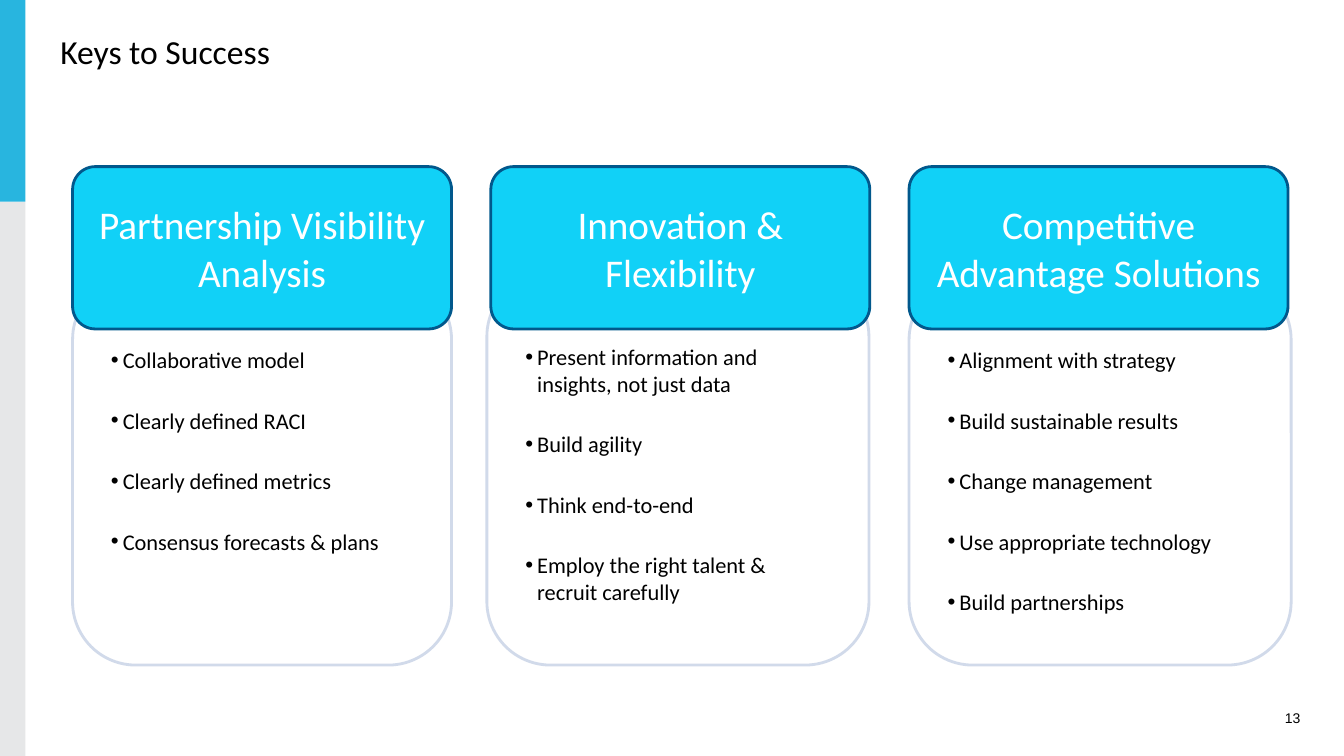
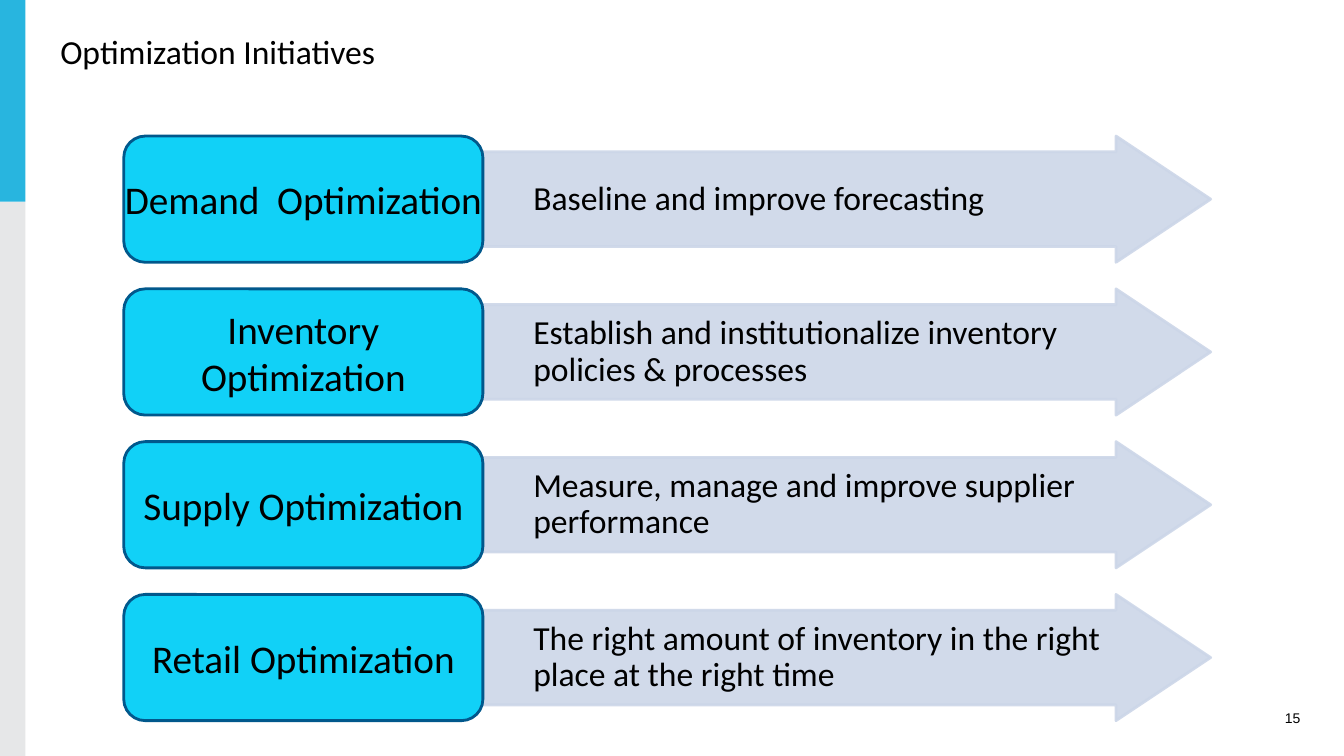
import pptx
import pptx.util
import pptx.dml.color
import pptx.enum.shapes
import pptx.enum.text
import lxml.etree

Cm = pptx.util.Cm
Pt = pptx.util.Pt
RGBColor = pptx.dml.color.RGBColor
Shape = pptx.enum.shapes.MSO_SHAPE
Align = pptx.enum.text.PP_ALIGN
Anchor = pptx.enum.text.MSO_ANCHOR

BLACK = RGBColor(0x00, 0x00, 0x00)
WHITE = RGBColor(0xFF, 0xFF, 0xFF)
BAND_BLUE = RGBColor(0x28, 0xB5, 0xDF)
BAND_GRAY = RGBColor(0xE6, 0xE7, 0xE8)
CYAN = RGBColor(0x11, 0xD1, 0xF7)
NAVY = RGBColor(0x01, 0x58, 0x8C)
PALE = RGBColor(0xCC, 0xD6, 0xE8)
DRAWING = "http://schemas.openxmlformats.org/drawingml/2006/main"


def add_block(page, kind, place, fill=None, line=None, adjustments=(), opacity=None):
    """Add a preset shape; place is left, top, width, height in cm, opacity in percent."""
    block = page.shapes.add_shape(kind, *[Cm(length) for length in place])
    block.shadow.inherit = False
    if fill is None:
        block.fill.background()
    else:
        block.fill.solid()
        block.fill.fore_color.rgb = fill
    if line is None:
        block.line.fill.background()
    else:
        block.line.color.rgb = line
        block.line.width = Pt(2)
    for index, value in enumerate(adjustments):
        block.adjustments[index] = value
    if opacity is not None:
        for color in list(block._element.iter(f"{{{DRAWING}}}srgbClr")):
            lxml.etree.SubElement(color, f"{{{DRAWING}}}alpha", val=str(opacity * 1000))
    return block


def write(box, lines, size, color=BLACK, align=Align.LEFT, anchor=Anchor.MIDDLE,
          insets=(0, 0, 0, 0), font="Calibri", wrap=True, bullet=False):
    """Fill a box with one paragraph per line; insets are left, top, right, bottom in cm."""
    frame = box.text_frame
    frame.word_wrap = wrap
    frame.vertical_anchor = anchor
    (frame.margin_left, frame.margin_top,
     frame.margin_right, frame.margin_bottom) = [Cm(inset) for inset in insets]
    for index, line in enumerate(lines):
        para = frame.add_paragraph() if index else frame.paragraphs[0]
        para.text = line
        para.alignment = align
        if bullet:
            properties = para._p.get_or_add_pPr()
            properties.set("marL", str(Cm(0.3)))
            properties.set("indent", str(-Cm(0.3)))
            lxml.etree.SubElement(properties, f"{{{DRAWING}}}buFont", typeface="Arial")
            lxml.etree.SubElement(properties, f"{{{DRAWING}}}buChar", char="•")
            para.space_after = Pt(24)
        para.font.name = font
        para.font.size = Pt(size)
        para.font.color.rgb = color


deck = pptx.Presentation()
deck.slide_width = Cm(33.87)
deck.slide_height = Cm(19.05)

# Bands, title and page number shared by every slide
pages = []
for title, number in [("Keys to Success", "13"), ("Optimization Initiatives", "15")]:
    page = deck.slides.add_slide(deck.slide_layouts[6])
    add_block(page, Shape.RECTANGLE, (0, 5.08, 0.64, 13.97), BAND_GRAY)
    add_block(page, Shape.RECTANGLE, (0, 0, 0.64, 5.08), BAND_BLUE)
    title_box = page.shapes.add_textbox(Cm(1.27), Cm(0.64), Cm(31.75), Cm(1.27))
    write(title_box, [title], 24, insets=(0.25, 0, 0.25, 0))
    number_box = page.shapes.add_textbox(Cm(31.32), Cm(17.78), Cm(1.7), Cm(0.64))
    write(number_box, [number], 10, align=Align.RIGHT, insets=(0.25, 0, 0.25, 0), font="Arial")
    pages.append(page)
success_page, initiatives_page = pages

# Keys to Success: heading, panel left, top and width, bullet points
keys = [
    ("Partnership Visibility\vAnalysis", 1.83, 6.96, 9.55,
     ["Collaborative model", "Clearly defined RACI", "Clearly defined metrics",
      "Consensus forecasts & plans"]),
    ("Innovation &\vFlexibility", 12.27, 6.88, 9.63,
     ["Present information and insights, not just data", "Build agility",
      "Think end-to-end", "Employ the right talent & recruit carefully"]),
    ("Competitive\vAdvantage Solutions", 22.91, 6.96, 9.63,
     ["Alignment with strategy", "Build sustainable results", "Change management",
      "Use appropriate technology", "Build partnerships"]),
]
PANEL_BOTTOM = 16.76
for column, (heading, left, top, width, points) in enumerate(keys):
    panel = add_block(success_page, Shape.ROUNDED_RECTANGLE,
                      (left, top, width, PANEL_BOTTOM - top), line=PALE, opacity=90)
    write(panel, points, 16, anchor=Anchor.TOP, insets=(0.5, 1.3, 0.5, 0), bullet=True)
    header = add_block(success_page, Shape.ROUNDED_RECTANGLE,
                       (1.83 + column * 10.54, 4.2, 9.55, 4.09), CYAN, NAVY, [0.14])
    write(header, [heading], 28, WHITE, Align.CENTER, wrap=False)

# Optimization Initiatives: label and arrow in each row
initiatives = [
    ("Demand  Optimization", "Baseline and improve forecasting"),
    ("Inventory\vOptimization",
     "Establish and institutionalize inventory policies & processes"),
    ("Supply Optimization", "Measure, manage and improve supplier performance"),
    ("Retail Optimization",
     "The right amount of inventory in the right place at the right time"),
]
for row, (name, goal) in enumerate(initiatives):
    top = 3.43 + row * 3.85
    arrow = add_block(initiatives_page, Shape.RIGHT_ARROW, (12.17, top, 18.34, 3.18),
                      PALE, PALE, [0.75, 0.75], opacity=90)
    write(arrow, [goal], 24, insets=(1.27, 0, 0, 0))
    arrow.text_frame.paragraphs[0].line_spacing = 0.9
    label = add_block(initiatives_page, Shape.ROUNDED_RECTANGLE, (3.12, top, 9.05, 3.18),
                      CYAN, NAVY, [0.17])
    write(label, [name], 28, align=Align.CENTER, wrap=False)

deck.save("out.pptx")
